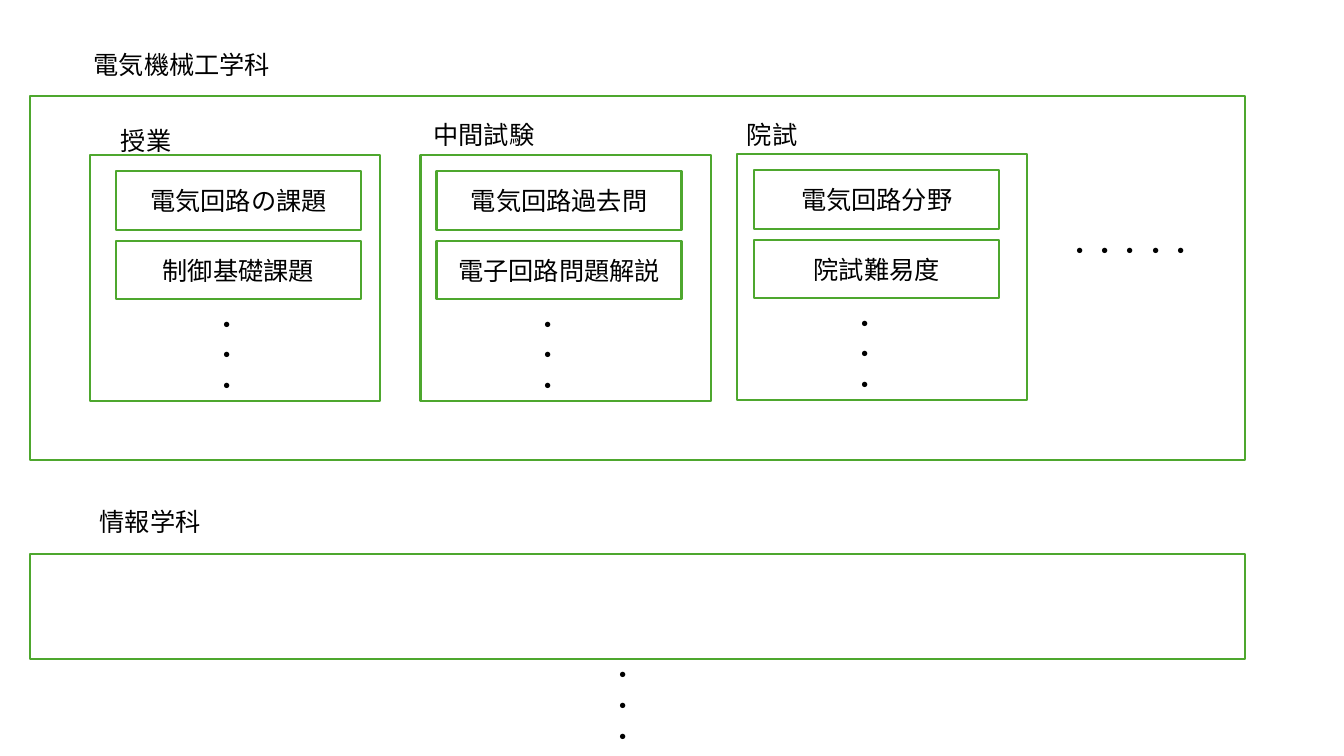
import pptx
import pptx.util
import pptx.dml.color
import pptx.enum.shapes
import pptx.enum.text
import pptx.oxml.ns
import lxml.etree

PX = 9144
GREEN = pptx.dml.color.RGBColor(0x4E, 0xA7, 0x2E)
WHITE = pptx.dml.color.RGBColor(0xFF, 0xFF, 0xFF)
BLACK = pptx.dml.color.RGBColor(0x00, 0x00, 0x00)
FONT = "Noto Sans CJK JP"
TEXT_FORMAT = {"name": FONT, "size": pptx.util.Pt(18)}
DOTS = ["・"] * 3

presentation = pptx.Presentation()
presentation.slide_width = 1333 * PX
presentation.slide_height = 750 * PX
slide = presentation.slides.add_slide(presentation.slide_layouts[6])


def write(shape, lines, alignment):
    frame = shape.text_frame
    frame.word_wrap = True
    frame.text = "\n".join(lines)
    for paragraph in frame.paragraphs:
        paragraph.alignment = alignment
        paragraph.line_spacing = pptx.util.Pt(22)
        for run in paragraph.runs:
            for attribute, value in TEXT_FORMAT.items():
                setattr(run.font, attribute, value)
            run.font.color.rgb = BLACK
            east_asian = lxml.etree.SubElement(run.font._element, pptx.oxml.ns.qn("a:ea"))
            east_asian.set("typeface", FONT)


def add_box(left, top, width, height, text=""):
    shape = slide.shapes.add_shape(
        pptx.enum.shapes.MSO_SHAPE.RECTANGLE, left * PX, top * PX, width * PX, height * PX
    )
    shape.shadow.inherit = False
    shape.fill.solid()
    shape.fill.fore_color.rgb = WHITE
    shape.line.color.rgb = GREEN
    shape.line.width = pptx.util.Pt(1.5)
    if text:
        shape.text_frame.vertical_anchor = pptx.enum.text.MSO_ANCHOR.MIDDLE
        write(shape, [text], pptx.enum.text.PP_ALIGN.CENTER)


for top, height in [(95, 361), (550, 104)]:
    add_box(30, top, 1205, height)

categories = [
    (89, 154, 115, ["電気回路の課題", "制御基礎課題"]),
    (417, 154, 433, ["電気回路過去問", "電子回路問題解説"]),
    (731, 153, 748, ["電気回路分野", "院試難易度"]),
]
labels = [
    (83, 43, 295, 40, ["電気機械工学科"]),
    (89, 497, 295, 40, ["情報学科"]),
    (110, 119, 188, 40, ["授業"]),
    (420, 113, 188, 40, ["中間試験"]),
    (731, 113, 188, 40, ["院試"]),
    (1049, 228, 150, 40, ["・・・・・"]),
    (596, 649, 135, 101, DOTS),
]
for left, top, item_left, items in categories:
    add_box(left, top, 288, 244)
    for index, item in enumerate(items):
        add_box(item_left, top + 16 + 69 * index, 243, 58, item)
    labels.append((item_left + 88, top + 147, 135, 101, DOTS))

for left, top, width, height, lines in labels:
    label = slide.shapes.add_textbox(left * PX, top * PX, width * PX, height * PX)
    write(label, lines, pptx.enum.text.PP_ALIGN.LEFT)
    label.text_frame.auto_size = pptx.enum.text.MSO_AUTO_SIZE.SHAPE_TO_FIT_TEXT

presentation.save("out.pptx")
